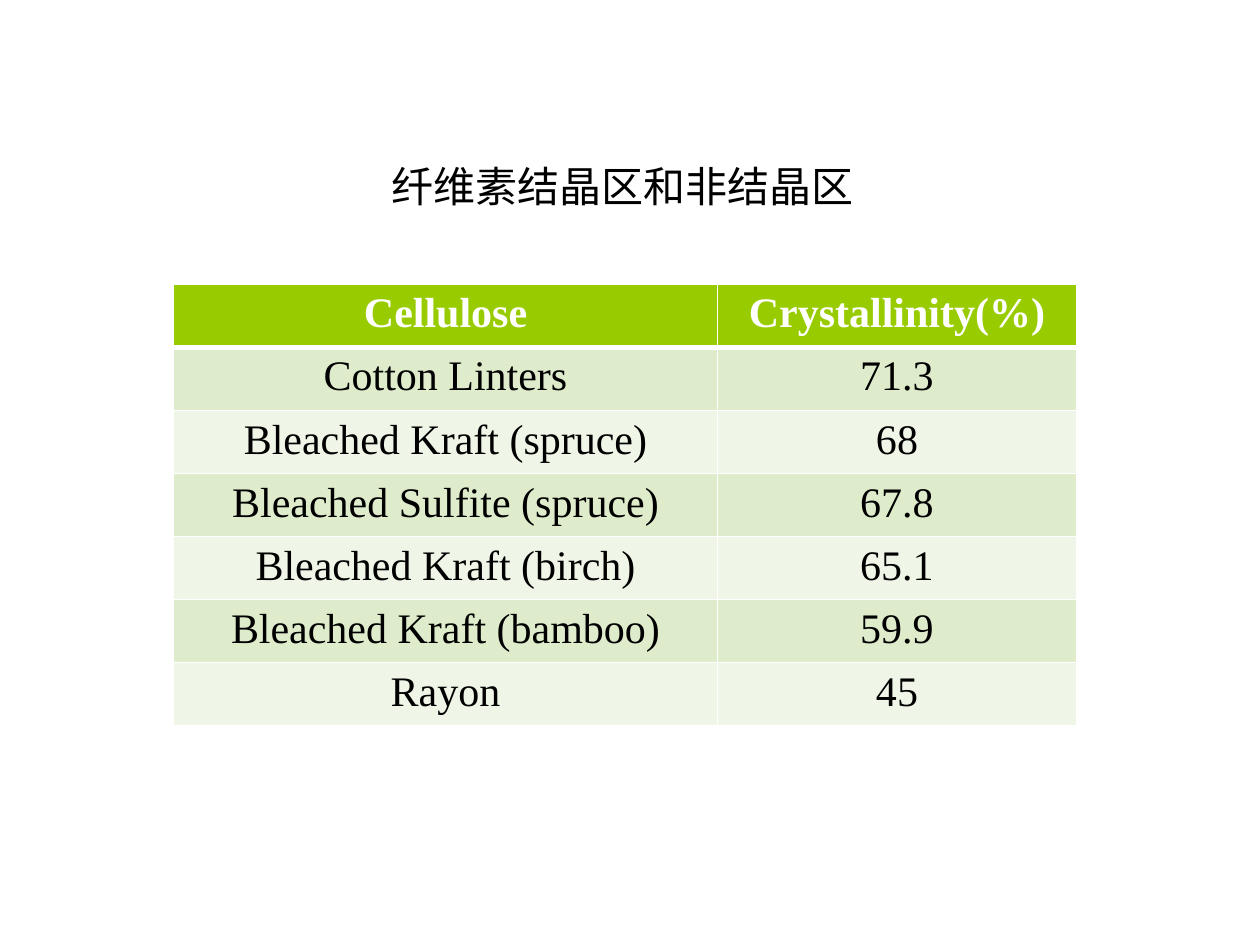
from dataclasses import dataclass

from lxml import etree
from pptx import Presentation
from pptx import util as u
from pptx.dml import color
from pptx.enum import text
from pptx.oxml import ns


@dataclass(frozen=True)
class Theme:
    ink: str = "000000"
    paper: str = "FFFFFF"
    header: str = "99CC00"
    bands: tuple = ("DEECCC", "EFF6E7")
    size: int = 24
    title_font: str = "DejaVu Sans"
    table_font: str = "Times New Roman"
    thin: int = 1
    thick: int = 3


THEME = Theme()
TITLE = "纤维素结晶区和非结晶区"
ROWS = [
    ("Cellulose", "Crystallinity(%)"),
    ("Cotton Linters", "71.3"),
    ("Bleached Kraft (spruce)", "68"),
    ("Bleached Sulfite (spruce)", "67.8"),
    ("Bleached Kraft (birch)", "65.1"),
    ("Bleached Kraft (bamboo)", "59.9"),
    ("Rayon", "45"),
]


def write(frame, words, ink, **formats):
    paragraph = frame.paragraphs[0]
    paragraph.alignment = formats.pop("alignment", text.PP_ALIGN.LEFT)
    run = paragraph.add_run()
    run.text = words
    for name, value in {"size": u.Pt(THEME.size), **formats}.items():
        setattr(run.font, name, value)
    run.font.color.rgb = color.RGBColor.from_string(ink)


def border_cell(cell, widths):
    properties = cell._tc.get_or_add_tcPr()
    for position, (side, width) in enumerate(widths.items()):
        line = etree.Element(ns.qn(f"a:ln{side}"), w=str(u.Pt(width)))
        fill = etree.SubElement(line, ns.qn("a:solidFill"))
        etree.SubElement(fill, ns.qn("a:srgbClr"), val=THEME.paper)
        properties.insert(position, line)


def add_title(slide, left, top, width, height):
    frame = slide.shapes.add_textbox(left, top, width, height).text_frame
    frame.word_wrap = False
    frame.auto_size = text.MSO_AUTO_SIZE.SHAPE_TO_FIT_TEXT
    write(frame, TITLE, THEME.ink, name=THEME.title_font)


def add_crystallinity_table(slide, left, top, width, height):
    shape = slide.shapes.add_table(len(ROWS), 2, left, top, width, height)
    table = shape.table
    first_width = int(width * 0.6025)
    table.columns[0].width = first_width
    table.columns[1].width = width - first_width
    for row, values in enumerate(ROWS):
        is_header = row == 0
        fill = THEME.header if is_header else THEME.bands[(row - 1) % 2]
        widths = {
            "L": THEME.thin,
            "R": THEME.thin,
            "T": THEME.thick if row == 1 else THEME.thin,
            "B": THEME.thick if is_header else THEME.thin,
        }
        for column, value in enumerate(values):
            cell = table.cell(row, column)
            cell.fill.solid()
            cell.fill.fore_color.rgb = color.RGBColor.from_string(fill)
            border_cell(cell, widths)
            write(
                cell.text_frame,
                value,
                THEME.paper if is_header else THEME.ink,
                name=THEME.table_font,
                bold=is_header,
                alignment=text.PP_ALIGN.CENTER,
            )


def main():
    presentation = Presentation()
    presentation.slide_width = u.Cm(25.4)
    presentation.slide_height = u.Cm(19.05)
    slide = presentation.slides.add_slide(presentation.slide_layouts[6])
    add_title(slide, u.Cm(7.65), u.Cm(3.12), u.Cm(9.9), u.Cm(1.27))
    add_crystallinity_table(slide, u.Cm(3.5), u.Cm(5.73), u.Cm(18.2), u.Cm(8.89))
    presentation.save("out.pptx")


if __name__ == "__main__":
    main()
